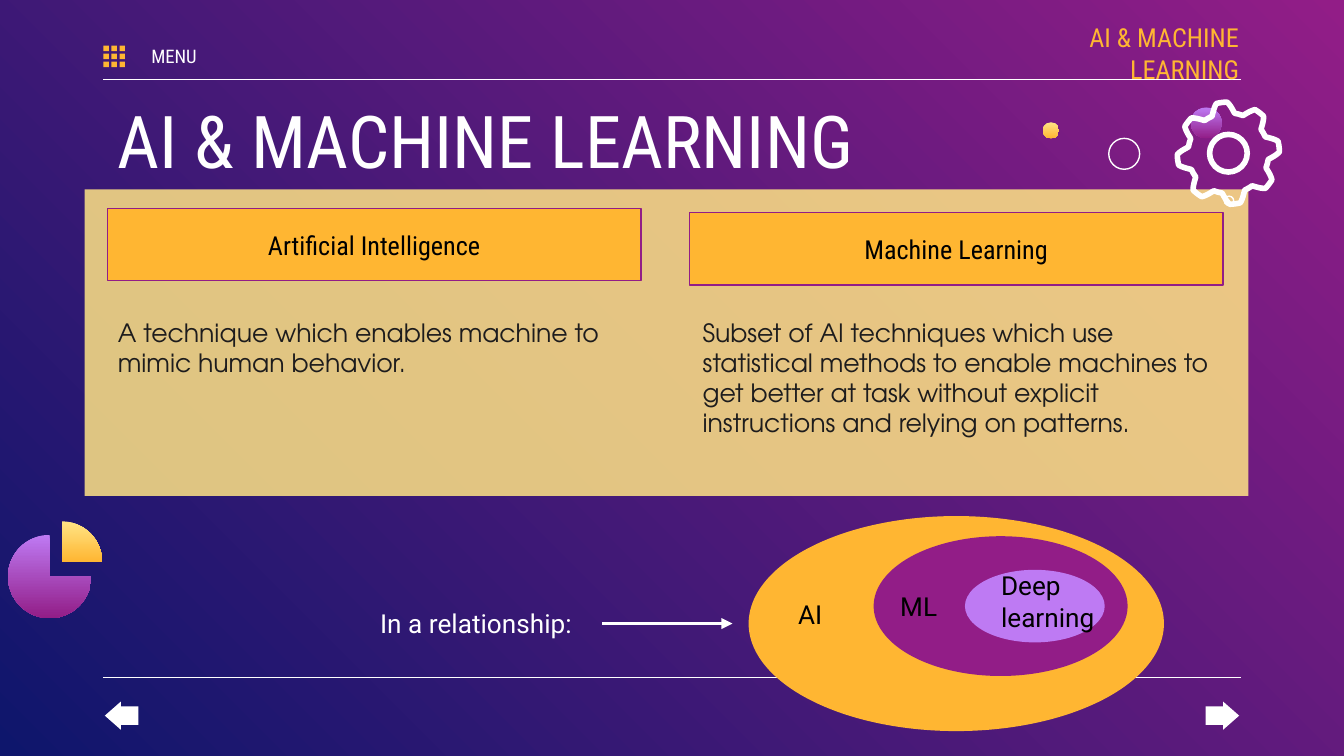
from math import cos, pi, sin

from lxml import etree
from pptx import Presentation
from pptx.dml.color import RGBColor
from pptx.enum.shapes import MSO_CONNECTOR, MSO_SHAPE
from pptx.enum.text import MSO_ANCHOR, PP_ALIGN
from pptx.oxml.ns import qn
from pptx.util import Inches, Pt

RECT, OVAL = MSO_SHAPE.RECTANGLE, MSO_SHAPE.OVAL
BACK, FORWARD = MSO_SHAPE.LEFT_ARROW, MSO_SHAPE.RIGHT_ARROW
STRAIGHT = MSO_CONNECTOR.STRAIGHT
TOP, MIDDLE = MSO_ANCHOR.TOP, MSO_ANCHOR.MIDDLE
LEFT, CENTER, RIGHT = PP_ALIGN.LEFT, PP_ALIGN.CENTER, PP_ALIGN.RIGHT

WHITE, BLACK, INK = "FFFFFF", "000000", "1D1C1D"
ORANGE, YELLOW, PURPLE, LILAC, NAVY = "FFB632", "FFE485", "921D87", "BE7AF3", "0E166C"
GOLD_FADE, LILAC_FADE = (YELLOW, ORANGE), (LILAC, PURPLE)
CONDENSED, ROBOTO, ADVENTOR = "Roboto Condensed", "Roboto", "TeX Gyre Adventor"


def rgb(value):
    """Turn a hex string into a colour."""
    return RGBColor.from_string(value)


def set_gradient(fill, colors, angle):
    """Give a fill a two-colour linear gradient."""
    fill.gradient()
    fill.gradient_angle = angle
    for stop, color, position in zip(fill.gradient_stops, colors, (0, 1)):
        stop.color.rgb = rgb(color)
        stop.position = position


def paint(shape, fill=None, line=None, width=0.75):
    """Set the fill (hex, pair of hex or none) and outline of a shape."""
    shape.shadow.inherit = False
    if fill is None:
        shape.fill.background()
    elif isinstance(fill, tuple):
        set_gradient(shape.fill, fill, 270)
    else:
        shape.fill.solid()
        shape.fill.fore_color.rgb = rgb(fill)
    if line:
        shape.line.color.rgb = rgb(line)
        shape.line.width = Pt(width)
    else:
        shape.line.fill.background()
    return shape


def add_preset(shapes, kind, box, **look):
    """Add a painted preset shape in a box of inches."""
    return paint(shapes.add_shape(kind, *map(Inches, box)), **look)


def add_outline(shapes, points, **look):
    """Add a closed painted outline through points in inches."""
    start, *rest = [(Inches(x), Inches(y)) for x, y in points]
    builder = shapes.build_freeform(*start)
    builder.add_line_segments(rest, close=True)
    return paint(builder.convert_to_shape(), **look)


def add_rule(shapes, x1, x2, y, width=0.75, arrow=False):
    """Add a horizontal white line, with an arrowhead if asked."""
    rule = shapes.add_connector(STRAIGHT, *map(Inches, (x1, y, x2, y)))
    rule.line.color.rgb = rgb(WHITE)
    rule.line.width = Pt(width)
    properties = rule._element.spPr
    if arrow:
        etree.SubElement(properties.find(qn("a:ln")), qn("a:tailEnd"), type="triangle")
    etree.SubElement(properties, qn("a:effectLst"))


def write(shape, text, font, size, color, align=LEFT, anchor=TOP, left=0.1, right=0.1):
    """Write one formatted paragraph into a shape."""
    frame = shape.text_frame
    layout = {"word_wrap": True, "vertical_anchor": anchor,
              "margin_left": Inches(left), "margin_right": Inches(right),
              "margin_top": Inches(0.1), "margin_bottom": Inches(0.1)}
    for name, value in layout.items():
        setattr(frame, name, value)
    paragraph = frame.paragraphs[0]
    paragraph.alignment = align
    run = paragraph.add_run()
    run.text = text
    for name, value in {"name": font, "size": Pt(size)}.items():
        setattr(run.font, name, value)
    run.font.color.rgb = rgb(color)


def add_text(shapes, box, *args, **layout):
    """Add a text box with one paragraph."""
    write(shapes.add_textbox(*map(Inches, box)), *args, **layout)


def add_header(shapes, left, top, width):
    """Build the menu icon, its label, the running title and the heading."""
    icon = shapes.add_group_shape().shapes
    for column in range(3):
        for row in range(3):
            add_preset(icon, RECT, (left + 0.06 * column, top + 0.06 * row, 0.04, 0.04),
                       fill=ORANGE)
    add_text(shapes, (left + 0.24, top - 0.04, 0.57, 0.23), "MENU", CONDENSED, 10, WHITE,
             align=CENTER, anchor=MIDDLE, left=0, right=0)
    add_text(shapes, (left + width - 1.51, top - 0.11, 1.5, 0.33), "AI & MACHINE LEARNING",
             CONDENSED, 14, ORANGE, align=RIGHT, anchor=MIDDLE, right=0)
    add_text(shapes, (left + 0.01, top + 0.27, width - 0.02, 0.66), "AI & MACHINE LEARNING",
             CONDENSED, 39, WHITE)


def add_definitions(shapes, left, top, width, height):
    """Build the translucent panel with its two headed definitions."""
    panel = add_preset(shapes, RECT, (left, top, width, height), fill=YELLOW)
    color = panel._element.spPr.find(qn("a:solidFill"))[0]
    etree.SubElement(color, qn("a:alpha"), val="85000")
    definitions = (
        (0.17, 0.14, 0.15, "Artificial Intelligence",
         "A technique which enables machine to mimic human behavior."),
        (4.5, 0.17, 4.5, "Machine Learning",
         "Subset of AI techniques which use statistical methods to enable machines to "
         "get better at task without explicit instructions and relying on patterns."),
    )
    for head_x, head_y, body_x, term, meaning in definitions:
        heading = add_preset(shapes, RECT, (left + head_x, top + head_y, 3.97, 0.54),
                             fill=ORANGE, line=PURPLE)
        write(heading, term, CONDENSED, 14, BLACK, align=CENTER, anchor=MIDDLE)
        add_text(shapes, (left + body_x, top + 0.85, 3.97, 1.2), meaning, ADVENTOR, 13.5, INK)


def add_ornaments(shapes, left, top):
    """Build the dots, the ring and the gear at the upper right."""
    for x, y, size, look in ((0.49, 0.27, 0.23, {"line": WHITE}),
                             (0, 0.15, 0.12, {"fill": GOLD_FADE}),
                             (1.35, 0.7, 0.07, {"line": WHITE}),
                             (1.1, 0.04, 0.23, {"fill": LILAC_FADE})):
        add_preset(shapes, OVAL, (left + x, top + y, size, size), **look)
    add_gear(shapes, left + 1.38, top + 0.38)


def add_gear(shapes, x, y, teeth=8, steps=240):
    """Draw an eight-toothed gear around a centre."""
    rim = []
    for step in range(steps):
        angle = 2 * pi * step / steps
        wave = 1.5 * cos(teeth * (angle + 0.13))
        radius = 0.34 + 0.04 * max(-1, min(1, wave))
        rim.append((x + radius * cos(angle), y + radius * sin(angle)))
    add_outline(shapes, rim, line=WHITE, width=3)
    add_preset(shapes, OVAL, (x - 0.14, y - 0.14, 0.28, 0.28), line=WHITE, width=3)


def add_pie(shapes, left, top):
    """Build the pie with one quarter pulled out."""
    pie = shapes.add_group_shape().shapes
    for x, y, radius, start, quarters, fade in ((0.41, 0.3, 0.3, 3, 1, GOLD_FADE),
                                                (0.32, 0.41, 0.31, 0, 3, LILAC_FADE)):
        center = (left + x, top + y)
        angles = [pi / 2 * (start + quarters * step / 60) for step in range(61)]
        arc = [(center[0] + radius * cos(a), center[1] + radius * sin(a)) for a in angles]
        add_outline(pie, [center, *arc], fill=fade)


def add_relationship(shapes, left, top):
    """Build the caption, its arrow and the nested ellipses."""
    for x, y, width, height, color in ((2.84, 0, 3.09, 1.6, ORANGE),
                                       (3.77, 0.15, 1.89, 1.04, PURPLE),
                                       (4.45, 0.4, 1.04, 0.54, LILAC)):
        add_preset(shapes, OVAL, (left + x, top + y, width, height), fill=color)
    for x, y, width, height, label, color in ((3.11, 0.51, 0.57, 0.33, "AI", BLACK),
                                              (3.87, 0.45, 0.57, 0.33, "ML", BLACK),
                                              (4.62, 0.3, 1.04, 0.74, "Deep learning", BLACK),
                                              (0, 0.58, 1.89, 0.54, "In a relationship:", WHITE)):
        add_text(shapes, (left + x, top + y, width, height), label, ROBOTO, 14, color)
    add_rule(shapes, left + 1.75, left + 2.72, top + 0.8, width=1.5, arrow=True)


def add_navigation(shapes, left, top, width):
    """Build the back and forward arrows at both ends of a row."""
    for kind, x in ((BACK, left), (FORWARD, left + width - 0.25)):
        arrow = add_preset(shapes, kind, (x, top, 0.25, 0.21), fill=WHITE)
        arrow.adjustments[0], arrow.adjustments[1] = 0.66, 0.57


def main():
    """Build the slide and save it."""
    deck = Presentation()
    deck.slide_width, deck.slide_height = Inches(10), Inches(10) * 9 // 16
    slide = deck.slides.add_slide(deck.slide_layouts[6])
    set_gradient(slide.background.fill, (PURPLE, NAVY), 225)
    shapes = slide.shapes
    for y in (0.59, 5.04):
        add_rule(shapes, 0.77, 9.23, y)
    add_definitions(shapes, 0.63, 1.41, 8.66, 2.28)
    add_header(shapes, 0.77, 0.34, 8.46)
    add_ornaments(shapes, 7.76, 0.76)
    add_navigation(shapes, 0.78, 5.22, 8.44)
    add_pie(shapes, 0.05, 3.88)
    add_relationship(shapes, 2.73, 3.84)
    deck.save("out.pptx")


if __name__ == "__main__":
    main()
